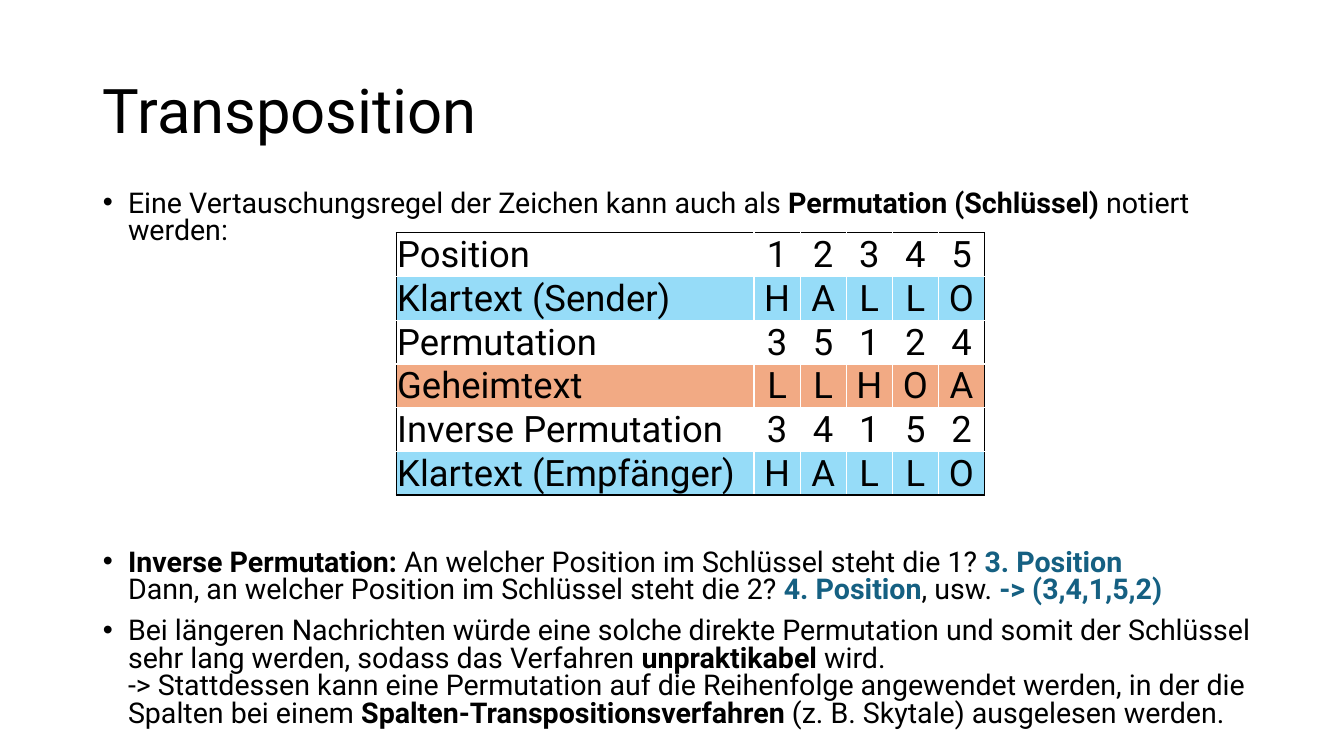
"""Build the slide on transposition ciphers with a permutation table."""
from copy import deepcopy
from dataclasses import dataclass

from lxml.etree import SubElement as Sub
from pptx import Presentation
from pptx.dml.color import RGBColor as Rgb
from pptx.enum.text import MSO_ANCHOR as Anchor, MSO_AUTO_SIZE as Fit, PP_ALIGN as Align
from pptx.oxml.ns import qn
from pptx.util import Inches, Pt


@dataclass(frozen=True)
class Theme:
    font: str = "Roboto"
    ink: str = "000000"
    paper: str = "FFFFFF"
    accent: str = "156082"
    plain: str = "96DCF8"
    secret: str = "F2AA84"
    head: float = 44
    body: float = 20.4
    cell: float = 26


LOOK = Theme()
TITLE = "Transposition"

ROWS = [
    ("Position", "12345", LOOK.paper),
    ("Klartext (Sender)", "HALLO", LOOK.plain),
    ("Permutation", "35124", LOOK.paper),
    ("Geheimtext", "LLHOA", LOOK.secret),
    ("Inverse Permutation", "34152", LOOK.paper),
    ("Klartext (Empfänger)", "HALLO", LOOK.plain),
]

STYLES = {"text": (False, LOOK.ink), "bold": (True, LOOK.ink), "key": (True, LOOK.accent)}
BREAK = ("break", "")
POINTS = [
    (10, [
        ("text", "Eine Vertauschungsregel der Zeichen kann auch als "),
        ("bold", "Permutation (Schlüssel) "),
        ("text", "notiert werden:"),
    ]),
    (217, [
        ("bold", "Inverse Permutation: "),
        ("text", "An welcher Position im Schlüssel steht die 1? "),
        ("key", "3. Position"),
        BREAK,
        ("text", "Dann, an welcher Position im Schlüssel steht die 2? "),
        ("key", "4. Position"),
        ("text", ", usw. "),
        ("key", "-> (3,4,1,5,2)"),
    ]),
    (10, [
        ("text", "Bei längeren Nachrichten würde eine solche direkte Permutation und somit "
                 "der Schlüssel sehr lang werden, sodass das Verfahren "),
        ("bold", "unpraktikabel"),
        ("text", " wird. "),
        BREAK,
        ("text", "-> Stattdessen kann eine Permutation auf die Reihenfolge angewendet "
                 "werden, in der die Spalten bei einem "),
        ("bold", "Spalten-Transpositionsverfahren"),
        ("text", " (z. B. Skytale) ausgelesen werden."),
    ]),
]

WIDE, HIGH = Inches(13.33), Inches(7.5)
TITLE_BOX = (6.9, 5.33, 86.27, 19.33)
BODY_BOX = (6.9, 24.67, 88.97, 70.27)
GRID_AT = (29.48, 30.8)
LABEL, LETTER, ROW = 26.63, 3.43, 5.75
INDENT = Inches(0.25)


def across(share):
    return int(WIDE * share / 100)


def down(share):
    return int(HIGH * share / 100)


def place(shape, box):
    left, top, width, height = box
    shape.left, shape.top = across(left), down(top)
    shape.width, shape.height = across(width), down(height)


def paint(run, size, bold=False, color=LOOK.ink):
    font = run.font
    font.name, font.size, font.bold = LOOK.font, Pt(size), bold
    font.color.rgb = Rgb.from_string(color)


def add_title(slide):
    shape = slide.shapes.title
    place(shape, TITLE_BOX)
    frame = shape.text_frame
    frame.text = TITLE
    frame.auto_size, frame.vertical_anchor = Fit.NONE, Anchor.MIDDLE
    para = frame.paragraphs[0]
    para.alignment, para.line_spacing = Align.LEFT, 0.9
    paint(para.runs[0], LOOK.head)


def fill_point(para, gap, parts):
    para.line_spacing, para.space_before = 0.8, Pt(gap)
    props = para._p.get_or_add_pPr()
    props.set("marL", str(INDENT))
    props.set("indent", str(-INDENT))
    Sub(props, qn("a:buChar"), char="•")
    for style, words in parts:
        if style == "break":
            para.add_line_break()
            para._p[-1].append(deepcopy(run._r.get_or_add_rPr()))
        else:
            run = para.add_run()
            run.text = words
            paint(run, LOOK.body, *STYLES[style])


def add_body(slide):
    shape = slide.placeholders[1]
    place(shape, BODY_BOX)
    frame = shape.text_frame
    frame.auto_size, frame.vertical_anchor = Fit.NONE, Anchor.TOP
    for i, (gap, parts) in enumerate(POINTS):
        para = frame.add_paragraph() if i else frame.paragraphs[0]
        fill_point(para, gap, parts)


def edge(cell, side, outer):
    line = Sub(cell._tc.get_or_add_tcPr(), qn("a:ln" + side), w=str(Pt(1)))
    fill = Sub(line, qn("a:solidFill"))
    Sub(fill, qn("a:srgbClr"), val=LOOK.ink if outer else LOOK.paper)


def add_grid(slide):
    count, cols = len(ROWS), 1 + len(ROWS[0][1])
    widths = [LABEL] + [LETTER] * (cols - 1)
    left, top = GRID_AT
    grid = slide.shapes.add_table(count, cols, across(left), down(top),
                                  across(sum(widths)), down(ROW * count)).table
    grid.first_row = grid.horz_banding = False
    for col, width in zip(grid.columns, widths):
        col.width = across(width)
    for r, (label, marks, color) in enumerate(ROWS):
        grid.rows[r].height = down(ROW)
        for c, words in enumerate([label, *marks]):
            cell = grid.cell(r, c)
            cell.text = words
            cell.vertical_anchor = Anchor.BOTTOM
            cell.margin_left = cell.margin_right = cell.margin_top = Inches(0.01)
            cell.margin_bottom = 0
            sides = {"L": c == 0, "R": c == cols - 1, "T": r == 0, "B": r == count - 1}
            for side, outer in sides.items():
                edge(cell, side, outer)
            cell.fill.solid()
            cell.fill.fore_color.rgb = Rgb.from_string(color)
            para = cell.text_frame.paragraphs[0]
            para.alignment = Align.CENTER if c else Align.LEFT
            paint(para.runs[0], LOOK.cell)


def main():
    deck = Presentation()
    deck.slide_width, deck.slide_height = WIDE, HIGH
    slide = deck.slides.add_slide(deck.slide_layouts[1])
    add_title(slide)
    add_body(slide)
    add_grid(slide)
    deck.save("out.pptx")


if __name__ == "__main__":
    main()
